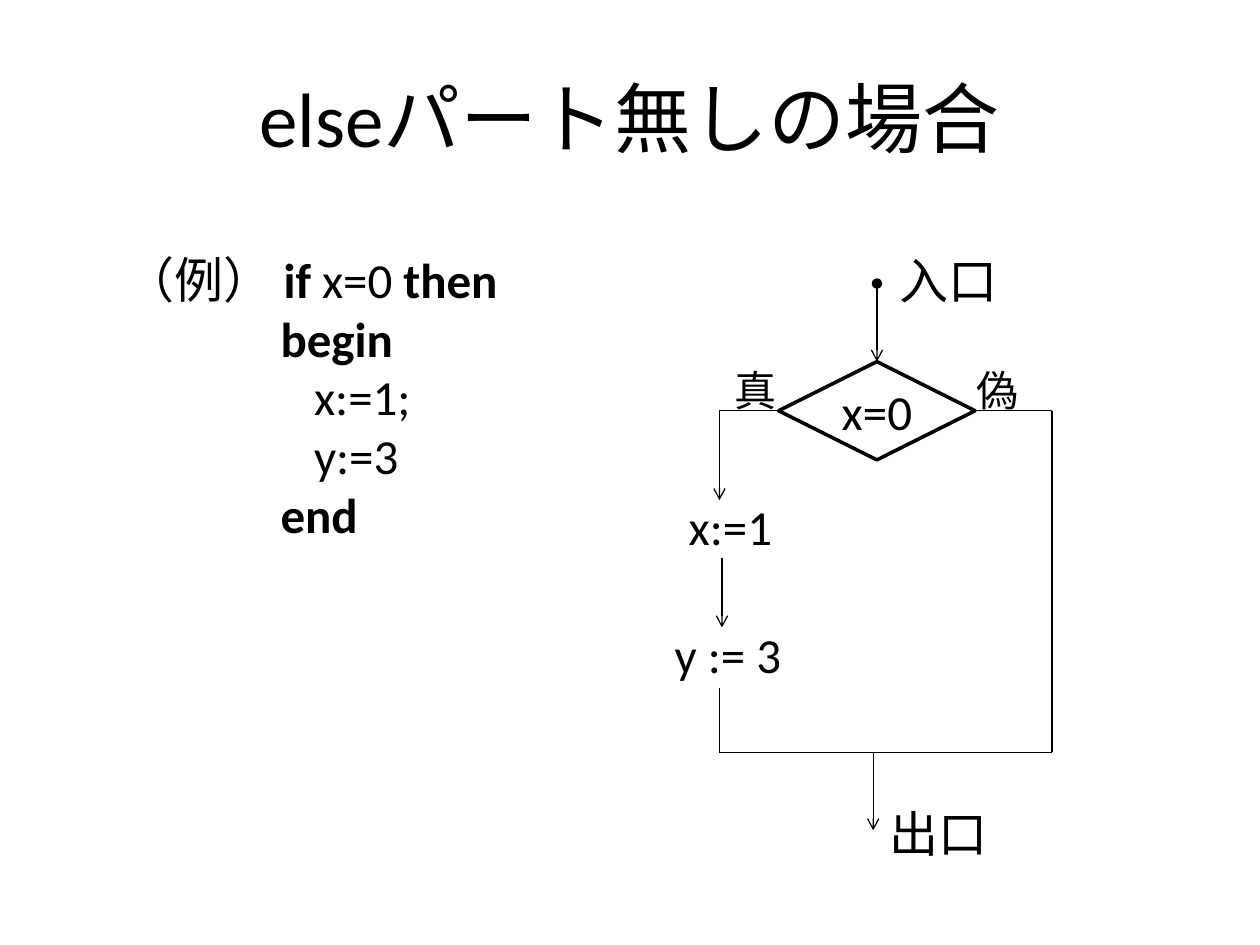
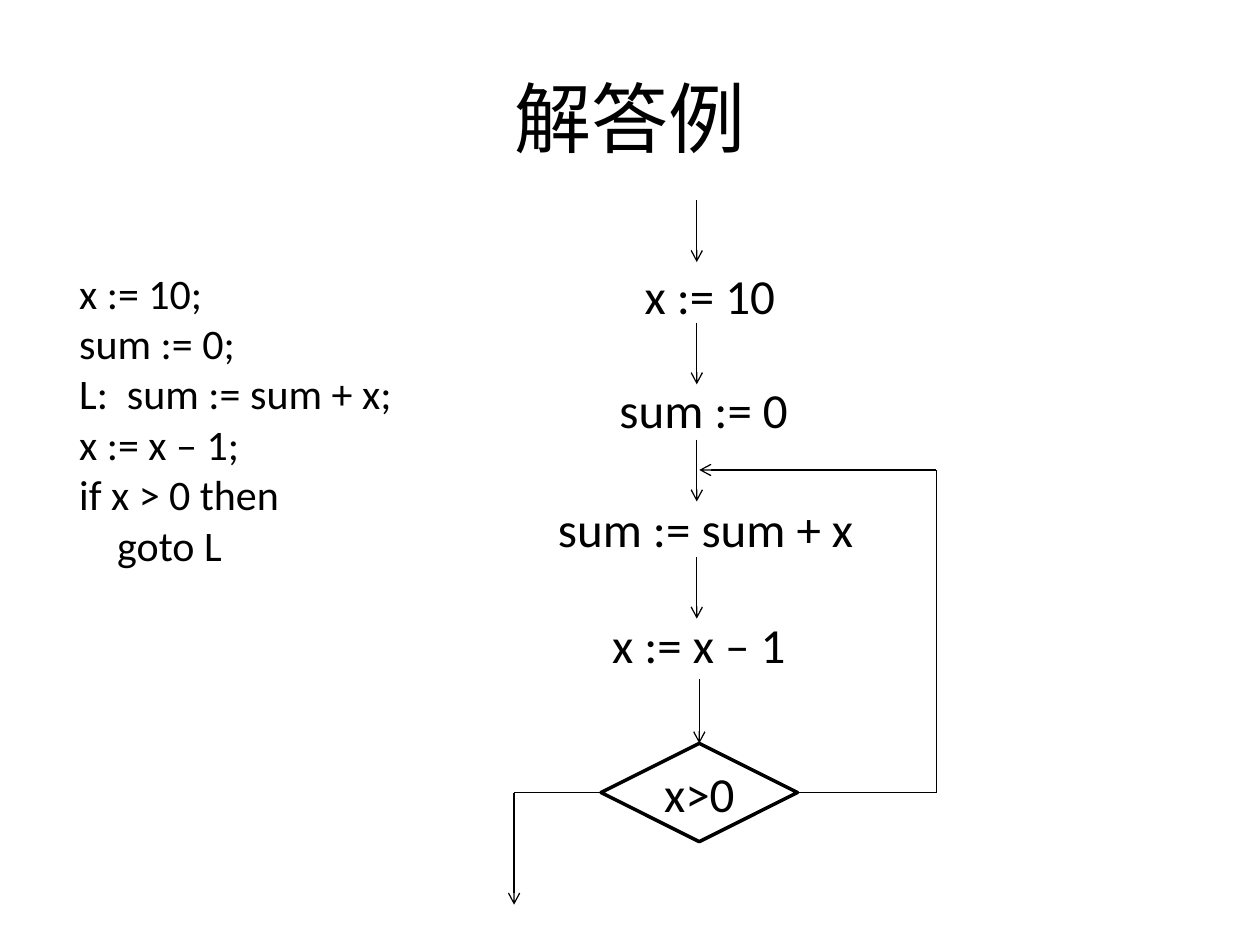
from itertools import pairwise

from lxml.etree import SubElement
from pptx import Presentation
from pptx.dml.color import RGBColor
from pptx.enum.shapes import MSO_CONNECTOR, MSO_SHAPE
from pptx.enum.text import MSO_ANCHOR, MSO_AUTO_SIZE, PP_ALIGN
from pptx.oxml.ns import qn
from pptx.util import Pt

PX = 9144
BLACK = RGBColor(0, 0, 0)
FONT = "Calibri"
TITLE, LARGE, SMALL = 44, 28, 24


def scale(*sizes):
    """Turn px into EMU."""
    return [size * PX for size in sizes]


def write(frame, lines, size, align=PP_ALIGN.LEFT):
    """Fill a frame with lines, each a list of (text, bold) runs."""
    for index, line in enumerate(lines):
        para = frame.add_paragraph() if index else frame.paragraphs[0]
        para.alignment = align
        for text, bold in line:
            run = para.add_run()
            run.text = text
            run.font.name = FONT
            run.font.size = Pt(size)
            run.font.bold = bold
            run.font.color.rgb = BLACK


def add_title(slide, text):
    """Add the centred slide title."""
    frame = slide.shapes.add_textbox(*scale(50, 30, 900, 125)).text_frame
    frame.word_wrap = True
    frame.vertical_anchor = MSO_ANCHOR.MIDDLE
    write(frame, [[(text, False)]], TITLE, PP_ALIGN.CENTER)


def add_code(slide, box, lines, size):
    """Add a wrapped program listing."""
    frame = slide.shapes.add_textbox(*scale(*box)).text_frame
    frame.word_wrap = True
    frame.auto_size = MSO_AUTO_SIZE.SHAPE_TO_FIT_TEXT
    write(frame, lines, size)


def add_label(slide, left, top, width, text, size=LARGE):
    """Add a single-line label of the flow chart."""
    height = 57 if size == LARGE else 50
    frame = slide.shapes.add_textbox(*scale(left, top, width, height)).text_frame
    frame.word_wrap = False
    frame.auto_size = MSO_AUTO_SIZE.SHAPE_TO_FIT_TEXT
    write(frame, [[(text, False)]], size)


def add_test(slide, left, top, text):
    """Add a decision diamond and return it."""
    test = slide.shapes.add_shape(MSO_SHAPE.DIAMOND, *scale(left, top, 156, 78))
    test.shadow.inherit = False
    test.fill.background()
    test.line.color.rgb = BLACK
    test.line.width = Pt(2)
    frame = test.text_frame
    frame.word_wrap = False
    frame.vertical_anchor = MSO_ANCHOR.MIDDLE
    write(frame, [[(text, False)]], LARGE, PP_ALIGN.CENTER)
    return test


def add_line(slide, start, end, head=None, tail=None):
    """Add a thin straight connector with optional end marks."""
    line = slide.shapes.add_connector(
        MSO_CONNECTOR.STRAIGHT, *scale(*start, *end))
    line.line.color.rgb = BLACK
    line.line.width = Pt(0.75)
    stroke = line.line._get_or_add_ln()
    for tag, mark in (("a:headEnd", head), ("a:tailEnd", tail)):
        if mark:
            SubElement(stroke, qn(tag), type=mark)
    SubElement(line._element.spPr, qn("a:effectLst"))
    return line


def add_route(slide, points, tail=None):
    """Join points with lines, mark the last one and return them all."""
    pairs = list(pairwise(points))
    return [add_line(slide, *pair, tail=tail if pair == pairs[-1] else None)
            for pair in pairs]


def add_branch(slide):
    """Build the slide on a test without an else part."""
    add_title(slide, "elseパート無しの場合")
    add_code(slide, (90, 193, 317, 246), [
        [("（例） ", False), ("if", True), (" x=0 ", False), ("then", True)],
        [("              ", False), ("begin", True)],
        [("                 x:=1;", False)],
        [("                 y:=3", False)],
        [("              ", False), ("end", True)],
    ], LARGE)
    test = add_test(slide, 618, 287, "x=0")
    entry = add_line(slide, (696, 225), (696, 287), head="oval", tail="arrow")
    entry.end_connect(test, 0)
    yes = add_route(slide, [(618, 326), (571, 326), (571, 397)], "arrow")
    yes[0].begin_connect(test, 1)
    no = add_route(slide, [(774, 326), (835, 326), (835, 597), (693, 597)])
    no[0].begin_connect(test, 3)
    add_line(slide, (573, 443), (573, 498), tail="arrow")
    add_route(slide, [(571, 546), (571, 597), (693, 597), (693, 659)], "arrow")
    for left, top, width, text in (
            (704, 194, 99, "入口"), (528, 389, 96, " x:=1"),
            (508, 491, 133, "  y := 3"), (696, 633, 99, "出口")):
        add_label(slide, left, top, width, text)
    for left, text in ((573, "真"), (765, "偽")):
        add_label(slide, left, 284, 54, text, SMALL)


def add_loop(slide):
    """Build the slide with the sample answer."""
    add_title(slide, "解答例")
    code = ("x := 10;", "sum := 0;", "L:  sum := sum + x;", "x := x – 1;",
            "if x > 0 then", "    goto L")
    add_code(slide, (53, 207, 272, 252), [[(row, False)] for row in code], SMALL)
    for left, top, width, text in (
            (493, 206, 134, " x := 10"), (473, 296, 165, " sum := 0"),
            (433, 391, 258, "sum := sum + x"), (476, 483, 160, "x := x – 1")):
        add_label(slide, left, top, width, text)
    for top in (159, 256, 349, 442):
        add_line(slide, (553, top), (553, top + 49), tail="arrow")
    test = add_test(slide, 477, 590, "x>0")
    enter = add_line(slide, (555, 539), (555, 590), tail="arrow")
    enter.end_connect(test, 0)
    leave = add_route(slide, [(477, 629), (408, 629), (408, 718)], "arrow")
    leave[0].begin_connect(test, 1)
    back = add_route(
        slide, [(633, 629), (743, 629), (743, 373), (555, 373)], "arrow")
    back[0].begin_connect(test, 3)


def main():
    """Build and save the deck."""
    deck = Presentation()
    deck.slide_width, deck.slide_height = scale(1000, 750)
    for build in (add_branch, add_loop):
        build(deck.slides.add_slide(deck.slide_layouts[6]))
    deck.save("out.pptx")


if __name__ == "__main__":
    main()
